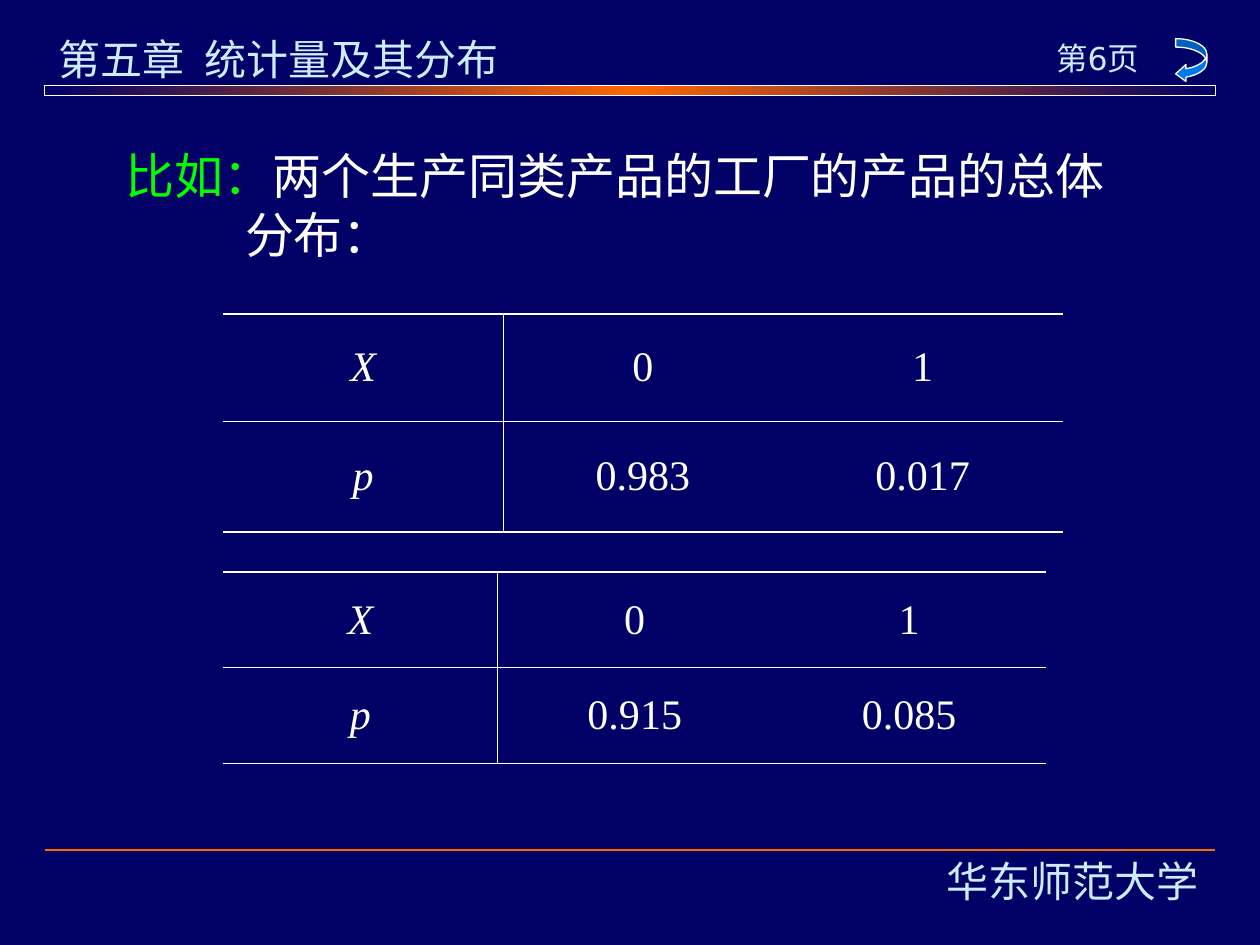
from copy import deepcopy

from lxml import etree
from pptx import Presentation
from pptx.dml.color import RGBColor
from pptx.enum.shapes import MSO_CONNECTOR, MSO_SHAPE
from pptx.enum.text import MSO_ANCHOR, PP_ALIGN
from pptx.oxml.ns import qn
from pptx.util import Cm, Pt

LEFT, CENTER = PP_ALIGN.LEFT, PP_ALIGN.CENTER
TOP, MIDDLE = MSO_ANCHOR.TOP, MSO_ANCHOR.MIDDLE
STRAIGHT = MSO_CONNECTOR.STRAIGHT
RECT, BACK_ARROW = MSO_SHAPE.RECTANGLE, MSO_SHAPE.CURVED_LEFT_ARROW

COLORS = {
    "navy": "000066",
    "orange": "FF6600",
    "pale": "CCECFF",
    "white": "FFFFFF",
    "green": "00FF00",
    "blue": "0078F0",
}
THICK, THIN = 1.08, 0.45


def rgb(name):
    return RGBColor.from_string(COLORS[name])


class Deck:
    def __init__(self, slide):
        self.slide = slide
        slide.background.fill.solid()
        slide.background.fill.fore_color.rgb = rgb("navy")

    def style(self, p, font, size, color="white", align=LEFT):
        p.alignment = align
        p.font.name, p.font.size = font, Pt(size)
        p.font.color.rgb = rgb(color)

    def text(self, box, runs, font, size, color="pale", align=LEFT,
             anchor=TOP, hanging=0):
        """Runs are (text, colour or None, extra letter spacing in points)."""
        tf = self.slide.shapes.add_textbox(*map(Cm, box)).text_frame
        tf.word_wrap, tf.vertical_anchor = True, anchor
        p = tf.paragraphs[0]
        if hanging:
            pPr = p._p.get_or_add_pPr()
            pPr.set("marL", str(Cm(hanging)))
            pPr.set("indent", str(-Cm(hanging)))
        self.style(p, font, size, color, align)
        for i, (words, run_color, spacing) in enumerate(runs):
            if i and words.startswith("\n"):
                p.add_line_break()
            r = p.add_run()
            r.text = words.strip("\n")
            if run_color:
                r.font.color.rgb = rgb(run_color)
            if spacing:
                r._r.get_or_add_rPr().set("spc", str(spacing * 100))

    def shape(self, kind, box, color):
        s = self.slide.shapes.add_shape(kind, *map(Cm, box))
        s.shadow.inherit = False
        s.fill.solid()
        s.fill.fore_color.rgb = rgb(color)
        s.line.color.rgb = rgb("white")
        s.line.width = Pt(0.75)
        return s

    def gradient_bar(self, box, names):
        s = self.shape(RECT, box, names[0])
        s.fill.gradient()
        s.fill.gradient_angle = 0
        stops = s._element.spPr.find(qn("a:gradFill")).find(qn("a:gsLst"))
        stops.insert(1, deepcopy(stops[0]))
        for i, (stop, name) in enumerate(zip(s.fill.gradient_stops, names)):
            stop.position = i / 2
            stop.color.rgb = rgb(name)

    def rule(self, x1, x2, y, color):
        s = self.slide.shapes.add_connector(STRAIGHT, Cm(x1), Cm(y), Cm(x2), Cm(y))
        s.line.color.rgb = rgb(color)
        s.line.width = Pt(1)
        etree.SubElement(s._element.spPr, qn("a:effectLst"))

    def borders(self, cell, widths):
        """Widths in points by side; a zero hides that side."""
        tcPr = cell._tc.get_or_add_tcPr()
        for side in "LRTB":
            width = widths.get(side, 0)
            ln = etree.SubElement(tcPr, qn("a:ln" + side), w=str(Pt(width)))
            if width:
                fill = etree.SubElement(ln, qn("a:solidFill"))
                etree.SubElement(fill, qn("a:srgbClr"), val=COLORS["white"])
            else:
                etree.SubElement(ln, qn("a:noFill"))

    def table(self, x, y, col_width, heights, rows):
        n_rows, n_cols = len(rows), len(rows[0])
        table = self.slide.shapes.add_table(
            n_rows, n_cols, Cm(x), Cm(y),
            Cm(col_width * n_cols), Cm(sum(heights))).table
        table.first_row = table.horz_banding = False
        for col in table.columns:
            col.width = Cm(col_width)
        for i, (height, row) in enumerate(zip(heights, rows)):
            table.rows[i].height = Cm(height)
            for j, value in enumerate(row):
                cell = table.cell(i, j)
                cell.text = value
                cell.vertical_anchor = MIDDLE
                p = cell.text_frame.paragraphs[0]
                self.style(p, "Times New Roman", 24, align=CENTER)
                p.font.italic = j == 0
                self.borders(cell, {
                    "T": THIN if i else THICK,
                    "B": THICK if i == n_rows - 1 else THIN,
                    "R": THIN if j == 0 else 0,
                    "L": THIN if j == 1 else 0,
                })
                cell.fill.background()


def main():
    prs = Presentation()
    prs.slide_width, prs.slide_height = Cm(25.4), Cm(19.05)
    deck = Deck(prs.slides.add_slide(prs.slide_layouts[6]))

    # Header and footer
    deck.rule(0.9, 24.5, 17.13, "orange")
    deck.text((0.94, 0.56, 9.8, 1.27),
              [("第五章", None, 0), (" ", None, 6), ("统计量及其分布", None, 0)],
              "Comic Neue", 24)
    deck.gradient_bar((0.9, 1.73, 23.6, 0.2), ("navy", "orange", "navy"))
    deck.text((18.47, 17.12, 6.32, 1.3), [("华东师范大学", None, 0)],
              "Lato", 24, align=CENTER)
    deck.text((20.57, 0.66, 3.12, 1.1), [("第6页", None, 0)],
              "DejaVu Sans", 18, align=CENTER)
    arrow = deck.shape(BACK_ARROW, (23.7, 0.78, 0.63, 0.88), "blue")
    for i, value in enumerate((0.27, 0.54, 0.33)):
        arrow.adjustments[i] = value

    # Statement
    deck.text((2.29, 2.72, 21, 2.8),
              [("比如：", "green", 0),
               ("两个生产同类产品的工厂的产品的总体", None, 0),
               ("\n分布：", None, 0)],
              "Arial", 28, "white", anchor=MIDDLE, hanging=2.4)

    # Distribution of each factory
    deck.table(4.5, 6.33, 5.64, (2.16, 2.23),
               (("X", "0", "1"), ("p", "0.983", "0.017")))
    deck.table(4.5, 11.53, 5.53, (1.93, 1.93),
               (("X", "0", "1"), ("p", "0.915", "0.085")))

    prs.save("out.pptx")


if __name__ == "__main__":
    main()
